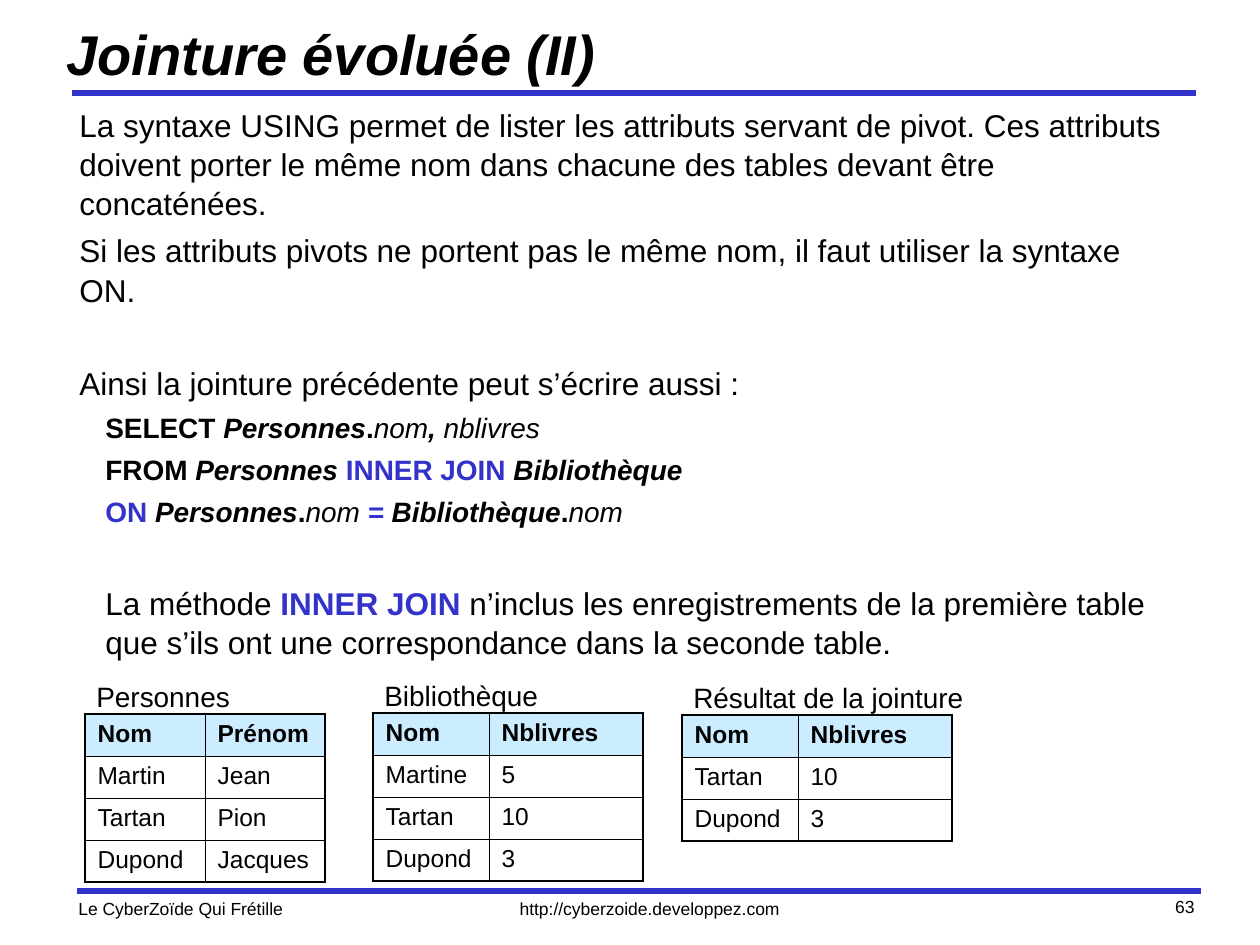
from dataclasses import dataclass

from lxml.etree import SubElement
from pptx import Presentation
from pptx.dml.color import RGBColor
from pptx.enum.shapes import MSO_CONNECTOR
from pptx.enum.text import MSO_ANCHOR, PP_ALIGN
from pptx.oxml.ns import qn
from pptx.util import Emu, Pt

PX = 914400 / 126


def px(n):
    return Emu(round(n * PX))


@dataclass(frozen=True)
class Theme:
    font: str = "Arial"
    ink: str = "000000"
    accent: str = "3333CC"
    header: str = "CCECFF"
    title: int = 32
    body: int = 18
    code: int = 16
    cell: int = 14
    footer: int = 10
    rule: float = 3
    outer: float = 1.08
    inner: float = 0.45


T = Theme()


def add_run(p, text, size=T.body, color=T.ink, bold=False, italic=False):
    r = p.add_run()
    r.text = text
    f = r.font
    f.name, f.size, f.bold, f.italic = T.font, Pt(size), bold, italic
    f.color.rgb = RGBColor.from_string(color)


class SlideBuilder:
    def __init__(self, slide, theme):
        self.s = slide
        self.t = theme

    def rule(self, x, y, w):
        line = self.s.shapes.add_connector(
            MSO_CONNECTOR.STRAIGHT, px(x), px(y), px(x + w), px(y))
        line.line.color.rgb = RGBColor.from_string(self.t.accent)
        line.line.width = Pt(self.t.rule)
        SubElement(line._element.spPr, qn("a:effectLst"))

    def frame(self, x, y, w, h, anchor=MSO_ANCHOR.TOP):
        tf = self.s.shapes.add_textbox(px(x), px(y), px(w), px(h)).text_frame
        tf.word_wrap = True
        tf.vertical_anchor = anchor
        return tf

    def text(self, x, y, w, h, text, align=PP_ALIGN.LEFT,
             anchor=MSO_ANCHOR.TOP, **fmt):
        p = self.frame(x, y, w, h, anchor).paragraphs[0]
        p.alignment = align
        add_run(p, text, **fmt)

    def body(self, x, y, w, h, paragraphs):
        tf = self.frame(x, y, w, h)
        for i, (before, indent, runs) in enumerate(paragraphs):
            p = tf.add_paragraph() if i else tf.paragraphs[0]
            p.space_before = Pt(before)
            p.line_spacing = 1.04
            p._p.get_or_add_pPr().set("marL", str(px(indent)))
            for text, fmt in runs:
                add_run(p, text, **fmt)

    def borders(self, cell, **outer_sides):
        tc_pr = cell._tc.get_or_add_tcPr()
        for i, (side, outer) in enumerate(outer_sides.items()):
            width = Pt(self.t.outer if outer else self.t.inner)
            ln = tc_pr.makeelement(qn(f"a:ln{side}"), {"w": str(int(width))})
            fill = SubElement(ln, qn("a:solidFill"))
            SubElement(fill, qn("a:srgbClr"), val=self.t.ink)
            tc_pr.insert(i, ln)  # borders come before the fill

    def table(self, x, y, widths, rows, row_h=42):
        n, m = len(rows), len(widths)
        table = self.s.shapes.add_table(
            n, m, px(x), px(y), px(sum(widths)), px(row_h * n)).table
        table.horz_banding = False
        for c, w in enumerate(widths):
            table.columns[c].width = px(w)
        for r, row in enumerate(rows):
            table.rows[r].height = px(row_h)
            for c, text in enumerate(row):
                cell = table.cell(r, c)
                if r == 0:
                    cell.fill.solid()
                    cell.fill.fore_color.rgb = RGBColor.from_string(self.t.header)
                else:
                    cell.fill.background()
                self.borders(cell, L=c == 0, R=c == m - 1, T=r == 0, B=r == n - 1)
                add_run(cell.text_frame.paragraphs[0], text,
                        size=self.t.cell, bold=r == 0)

    def captioned_table(self, x, y, caption, caption_w, widths, rows):
        self.table(x, y, widths, rows)
        self.text(x - 1, y - 41, caption_w, 47, caption, size=self.t.code)


# Run formats of the SQL sample
KEYWORD = dict(size=T.code, bold=True)
TABLE = dict(size=T.code, bold=True, italic=True)
FIELD = dict(size=T.code, italic=True)
JOIN = dict(size=T.code, bold=True, color=T.accent)
JOIN_EQ = dict(JOIN, italic=True)

# Space before (pt), indent (px), runs
GAP, CODE_GAP, BREAK, INDENT = 4.5, 4, 31, 26
BODY = [
    (0, 0, [("La syntaxe USING permet de lister les attributs servant de pivot. "
             "Ces attributs doivent porter le même nom dans chacune des tables "
             "devant être concaténées.", {})]),
    (GAP, 0, [("Si les attributs pivots ne portent pas le même nom, il faut "
               "utiliser la syntaxe ON.", {})]),
    (BREAK, 0, [("Ainsi la jointure précédente peut s’écrire aussi :", {})]),
    (CODE_GAP, INDENT, [("SELECT ", KEYWORD), ("Personnes", TABLE), (".", KEYWORD),
                        ("nom", FIELD), (", ", TABLE), ("nblivres", FIELD)]),
    (CODE_GAP, INDENT, [("FROM ", KEYWORD), ("Personnes ", TABLE),
                        ("INNER JOIN", JOIN), (" Bibliothèque", TABLE)]),
    (CODE_GAP, INDENT, [("ON ", JOIN), ("Personnes", TABLE), (".", KEYWORD),
                        ("nom ", FIELD), ("=", JOIN_EQ), (" Bibliothèque", TABLE),
                        (".", KEYWORD), ("nom", FIELD)]),
    (BREAK, INDENT, [("La méthode ", {}),
                     ("INNER JOIN", dict(bold=True, color=T.accent)),
                     (" n’inclus les enregistrements de la première table que "
                      "s’ils ont une correspondance dans la seconde table.", {})]),
]

PERSONS = [("Nom", "Prénom"), ("Martin", "Jean"), ("Tartan", "Pion"),
           ("Dupond", "Jacques")]
LIBRARY = [("Nom", "Nblivres"), ("Martine", "5"), ("Tartan", "10"), ("Dupond", "3")]
RESULT = [LIBRARY[0], *LIBRARY[2:]]


def main():
    prs = Presentation()
    prs.slide_width, prs.slide_height = px(1260), px(945)
    b = SlideBuilder(prs.slides.add_slide(prs.slide_layouts[6]), T)

    # Rules and footer
    b.rule(77, 891, 1124)
    b.rule(72, 93, 1124)
    b.text(460, 892, 379, 34, "http://cyberzoide.developpez.com",
           align=PP_ALIGN.CENTER, size=T.footer)
    b.text(66, 892, 379, 34, "Le CyberZoïde Qui Frétille", size=T.footer)
    b.text(945, 890, 262, 42, "63", align=PP_ALIGN.RIGHT, size=T.footer)

    # Title and body
    b.text(54, 11, 1129, 84, "Jointure évoluée (II)", anchor=MSO_ANCHOR.MIDDLE,
           size=T.title, bold=True, italic=True)
    b.body(67, 98, 1131, 772, BODY)

    # Tables
    b.captioned_table(85, 714, "Personnes", 224, (120, 120), PERSONS)
    b.captioned_table(373, 713, "Bibliothèque", 224, (116, 154), LIBRARY)
    b.captioned_table(682, 715, "Résultat de la jointure", 304, (116, 154), RESULT)

    prs.save("out.pptx")


if __name__ == "__main__":
    main()
